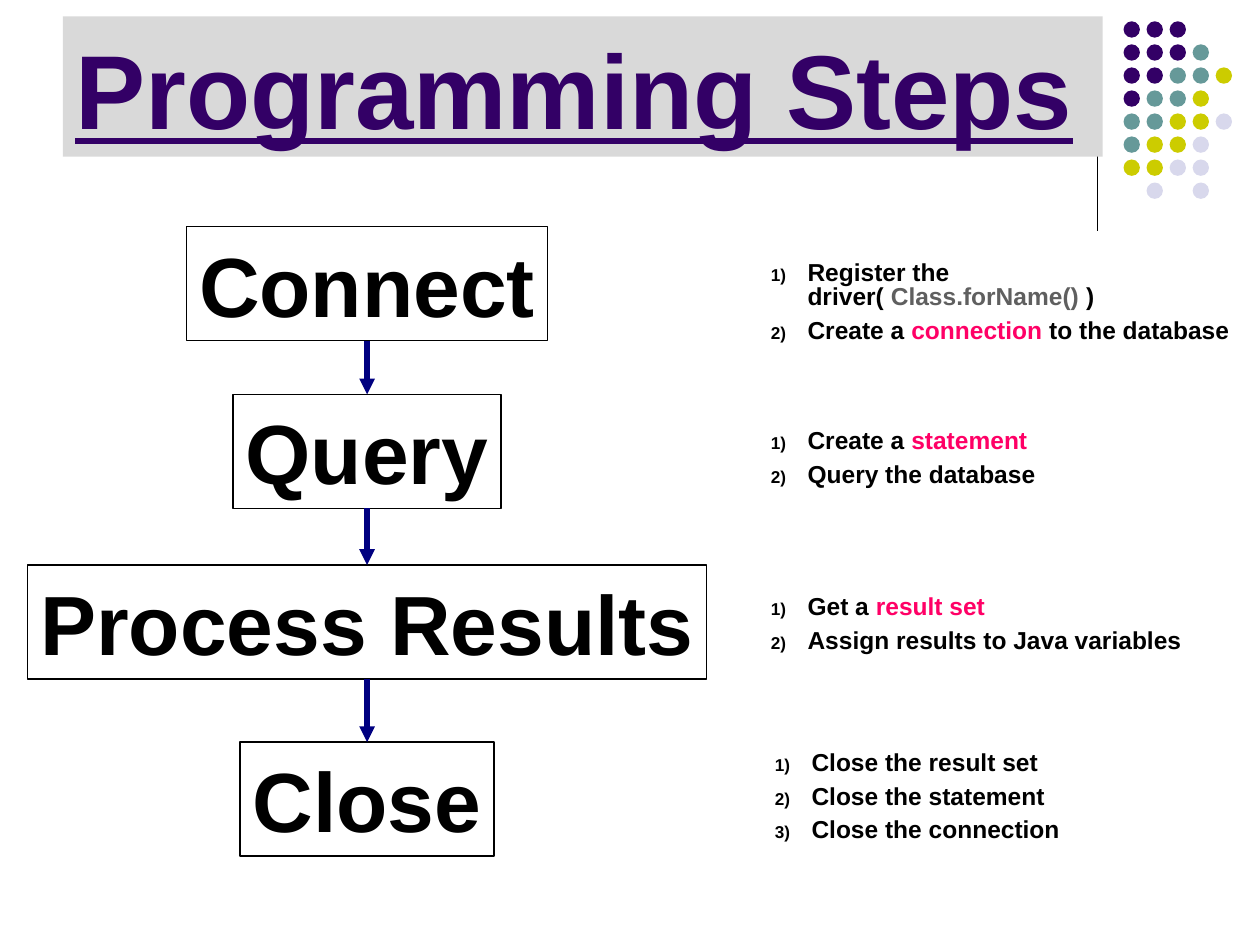
from lxml import etree
from pptx import Presentation
from pptx.dml.color import RGBColor
from pptx.enum.shapes import MSO_CONNECTOR, MSO_SHAPE
from pptx.enum.text import MSO_ANCHOR, PP_ALIGN
from pptx.oxml.ns import qn
from pptx.util import Cm, Pt


def rgb(hex_color):
    return RGBColor.from_string(hex_color)


def add_run(p, text, size, color):
    r = p.add_run()
    r.text = text
    r.font.name = "Arial"
    r.font.size = Pt(size)
    r.font.bold = True
    r.font.color.rgb = rgb(color)
    return r


prs = Presentation()
prs.slide_width, prs.slide_height = Cm(25.4), Cm(19.05)
s = prs.slides.add_slide(prs.slide_layouts[6])

# Vertical rule beside the title
rule = s.shapes.add_connector(MSO_CONNECTOR.STRAIGHT, Cm(22.12), Cm(0.43), Cm(22.12), Cm(4.65))
rule.line.color.rgb = rgb("000000")
rule.line.width = Pt(0.75)
etree.SubElement(rule._element.spPr, qn("a:effectLst"))

# Dot pattern in the corner: one letter per dot colour
dot_colors = {"p": "330066", "t": "669999", "y": "CCCC00", "l": "D8D8EC"}
dot_rows = ["ppp", "pppt", "pptty", "ptty", "ttyyl", "tyyl", "yyll", " l l"]
pitch = 3.25 / 7
for row, letters in enumerate(dot_rows):
    for col, letter in enumerate(letters):
        if letter == " ":
            continue
        sp = s.shapes.add_shape(MSO_SHAPE.OVAL, Cm(22.65 + col * pitch), Cm(0.43 + row * pitch),
                                Cm(0.33), Cm(0.33))
        sp.shadow.inherit = False
        sp.fill.solid()
        sp.fill.fore_color.rgb = rgb(dot_colors[letter])
        sp.line.fill.background()

# Title
sp = s.shapes.add_textbox(Cm(1.27), Cm(0.33), Cm(20.96), Cm(2.83))
sp.fill.solid()
sp.fill.fore_color.rgb = rgb("D9D9D9")
tf = sp.text_frame
tf.word_wrap = True
tf.vertical_anchor = MSO_ANCHOR.BOTTOM
r = add_run(tf.paragraphs[0], "Programming Steps", 60, "330066")
r.font.underline = True

# Flow boxes: label, top, width
center, box_height = 7.4, 2.3
steps = [("Connect", 4.57, 7.27), ("Query", 7.95, 5.4),
         ("Process Results", 11.39, 13.69), ("Close", 14.96, 5.12)]
for label, top, width in steps:
    sp = s.shapes.add_shape(MSO_SHAPE.RECTANGLE, Cm(center - width / 2), Cm(top),
                            Cm(width), Cm(box_height))
    sp.shadow.inherit = False
    sp.fill.solid()
    sp.fill.fore_color.rgb = rgb("FFFFFF")
    sp.line.color.rgb = rgb("000000")
    sp.line.width = Pt(0.75)
    tf = sp.text_frame
    tf.word_wrap = False
    tf.vertical_anchor = MSO_ANCHOR.MIDDLE
    p = tf.paragraphs[0]
    p.alignment = PP_ALIGN.CENTER
    add_run(p, label, 48, "000000")

# Arrows from each box to the next
for (_, top, _), (_, next_top, _) in zip(steps, steps[1:]):
    arrow = s.shapes.add_connector(MSO_CONNECTOR.STRAIGHT, Cm(center), Cm(top + box_height),
                                   Cm(center), Cm(next_top))
    arrow.line.color.rgb = rgb("000080")
    arrow.line.width = Pt(3)
    etree.SubElement(arrow.line._get_or_add_ln(), qn("a:tailEnd"), type="triangle")
    etree.SubElement(arrow._element.spPr, qn("a:effectLst"))

# Numbered notes: left, top, width, height, items made of (text, colour) runs
black, grey, pink = "000000", "5F5F5F", "FF0066"
notes = [
    (15.29, 5.18, 9.91, 1.88, [
        [("Register the driver( ", black), ("Class.forName() ", grey), (")", black)],
        [("Create a ", black), ("connection", pink), (" to the database", black)]]),
    (15.29, 8.56, 8, 1.4, [
        [("Create a ", black), ("statement", pink)],
        [("Query the database", black)]]),
    (15.29, 11.91, 8.79, 1.4, [
        [("Get a ", black), ("result set", pink)],
        [("Assign results to Java variables", black)]]),
    (15.37, 15.04, 8.81, 2.06, [
        [("Close the result set", black)],
        [("Close the statement", black)],
        [("Close the connection", black)]]),
]
for left, top, width, height, items in notes:
    tf = s.shapes.add_textbox(Cm(left), Cm(top), Cm(width), Cm(height)).text_frame
    tf.word_wrap = True
    for i, runs in enumerate(items):
        p = tf.add_paragraph() if i else tf.paragraphs[0]
        p.line_spacing = 0.6 if i else 0.8
        if i:
            p.space_before = Pt(8.8)
        pPr = p._p.get_or_add_pPr()
        pPr.set("marL", str(Cm(0.74)))
        pPr.set("indent", str(-Cm(0.74)))
        bullet_color = etree.SubElement(pPr, qn("a:buClr"))
        etree.SubElement(bullet_color, qn("a:srgbClr"), val=black)
        etree.SubElement(pPr, qn("a:buSzPct"), val="70000")
        etree.SubElement(pPr, qn("a:buFont"), typeface="Arial")
        etree.SubElement(pPr, qn("a:buAutoNum"), type="arabicParenR")
        for text, color in runs:
            add_run(p, text, 14, color)

prs.save("out.pptx")
